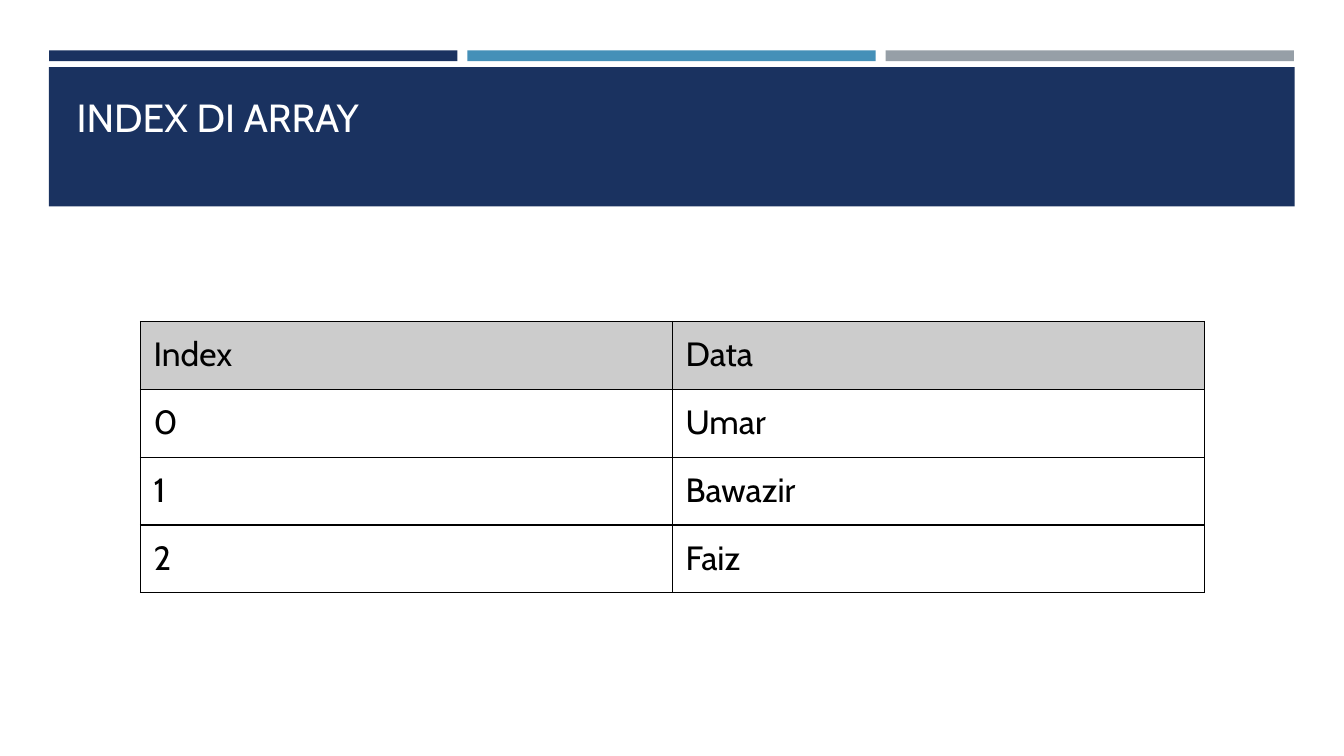
import pptx
import pptx.util
import pptx.dml.color
import pptx.enum.shapes
import pptx.enum.text
import pptx.oxml
import pptx.oxml.ns
from pptx.util import Cm, Pt

# Content
TITLE = "INDEX DI ARRAY"
ROWS = [("Index", "Data"), ("0", "Umar"), ("1", "Bawazir"), ("2", "Faiz")]
STRIPES = ["navy", "blue", "gray"]

FONT = "Cabin"
COLOURS = {
    "navy": "1A3260", "blue": "4590B8", "gray": "969FA7",
    "header": "CCCCCC", "white": "FFFFFF", "black": "000000",
}
INSET = Cm(0.33)


def colour(name):
    return pptx.dml.color.RGBColor.from_string(COLOURS[name])


def add_bar(page, left, top, width, height, fill):
    bar = page.shapes.add_shape(
        pptx.enum.shapes.MSO_SHAPE.RECTANGLE, left, top, width, height)
    bar.shadow.inherit = False
    bar.fill.solid()
    bar.fill.fore_color.rgb = colour(fill)
    bar.line.fill.background()


def format_text(frame, size, name):
    para = frame.paragraphs[0]
    para.alignment = pptx.enum.text.PP_ALIGN.LEFT
    for span in para.runs:
        span.font.name = FONT
        span.font.size = Pt(size)
        span.font.bold = False
        span.font.color.rgb = colour(name)


def set_insets(holder):
    holder.margin_left = holder.margin_right = INSET
    holder.margin_top = holder.margin_bottom = INSET


def add_borders(cell):
    properties = cell._tc.get_or_add_tcPr()
    for position, side in enumerate(("lnL", "lnR", "lnT", "lnB")):
        border = pptx.oxml.parse_xml(
            f'<a:{side} {pptx.oxml.ns.nsdecls("a")} w="{Pt(1)}"><a:solidFill>'
            f'<a:srgbClr val="{COLOURS["black"]}"/></a:solidFill></a:{side}>')
        properties.insert(position, border)


deck = pptx.Presentation()
deck.slide_width, deck.slide_height = Cm(33.87), Cm(19.05)
page = deck.slides.add_slide(deck.slide_layouts[5])

# Three stripes above the title band
stripe_width, stripe_gap = Cm(10.29), Cm(0.25)
for column, name in enumerate(STRIPES):
    left = Cm(1.24) + column * (stripe_width + stripe_gap)
    add_bar(page, left, Cm(1.27), stripe_width, Cm(0.27), name)
add_bar(page, Cm(1.23), Cm(1.69), Cm(31.4), Cm(3.51), "navy")

# Title, brought in front of its band
title = page.shapes.title
title.left, title.top, title.width, title.height = (
    Cm(1.6), Cm(2.03), Cm(30.63), Cm(2.74))
page.shapes._spTree.append(title._element)
frame = title.text_frame
frame.text = TITLE
frame.word_wrap = True
frame.auto_size = pptx.enum.text.MSO_AUTO_SIZE.NONE
frame.vertical_anchor = pptx.enum.text.MSO_ANCHOR.TOP
set_insets(frame)
format_text(frame, 28, "white")

# Table of indexes and values
row_height, column_width = Cm(1.71), Cm(13.41)
table = page.shapes.add_table(
    len(ROWS), len(ROWS[0]), Cm(3.54), Cm(8.1),
    column_width * len(ROWS[0]), row_height * len(ROWS)).table
table.first_row = table.horz_banding = False
for row, values in enumerate(ROWS):
    for column, value in enumerate(values):
        cell = table.cell(row, column)
        cell.text_frame.text = value
        set_insets(cell)
        format_text(cell.text_frame, 24, "black")
        if row == 0:
            cell.fill.solid()
            cell.fill.fore_color.rgb = colour("header")
        else:
            cell.fill.background()
        add_borders(cell)

deck.save("out.pptx")
